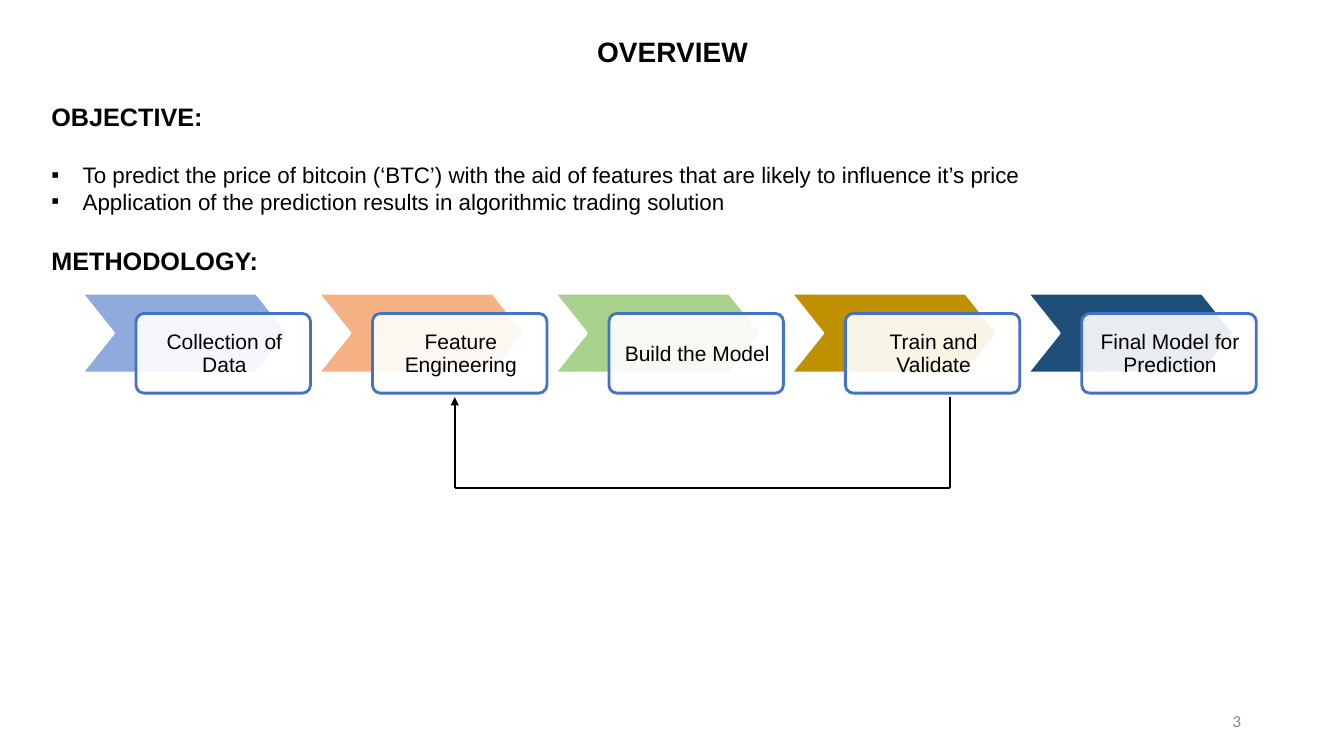
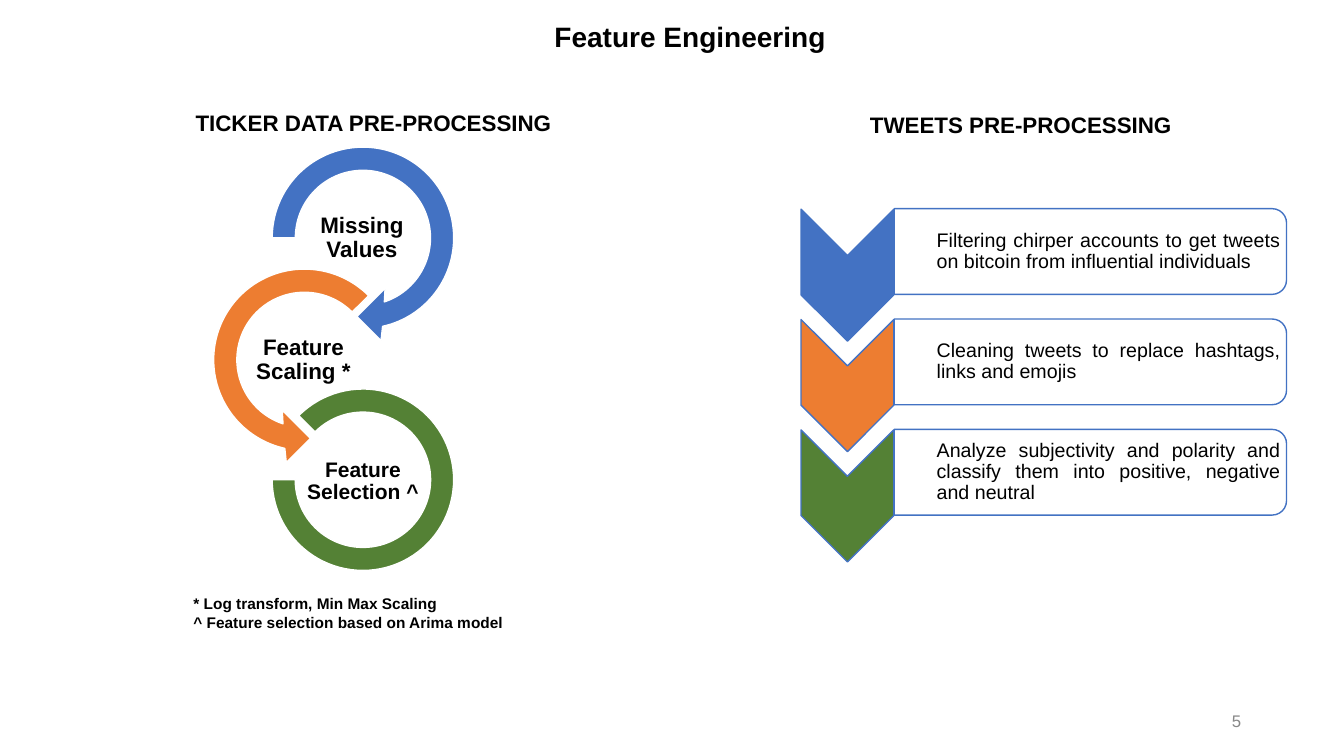
from math import cos, radians, sin, tan

from lxml import etree
from pptx import Presentation
from pptx.dml.color import RGBColor
from pptx.enum.shapes import MSO_CONNECTOR, MSO_SHAPE
from pptx.enum.text import MSO_ANCHOR, MSO_AUTO_SIZE, PP_ALIGN
from pptx.oxml.ns import qn
from pptx.util import Inches, Pt

BLACK, WHITE, GRAY = "000000", "FFFFFF", "888888"
BLUE, ORANGE, GREEN, EDGE = "4372C3", "ED7D31", "548135", "4472C4"
PAD = (0.1, 0.05, 0.1, 0.05)
CENTER = {"alignment": PP_ALIGN.CENTER}
TIGHT = {**CENTER, "line_spacing": 0.9}

STEPS = [
    ("Collection of Data", "8FAADC"),
    ("Feature Engineering", "F4B183"),
    ("Build the Model", "A9D18E"),
    ("Train and Validate", "BF9000"),
    ("Final Model for Prediction", "1F4E79"),
]
GOALS = [
    "To predict the price of bitcoin (‘BTC’) with the aid of features "
    "that are likely to influence it’s price",
    "Application of the prediction results in algorithmic trading solution",
]
TWEETS = [
    ("Filtering chirper accounts to get tweets on bitcoin from influential individuals", BLUE),
    ("Cleaning tweets to replace hashtags, links and emojis", ORANGE),
    ("Analyze subjectivity and polarity and classify them into positive, "
     "negative and neutral", GREEN),
]


def rgb(code):
    return RGBColor.from_string(code)


def style(item, values):
    for name, value in values.items():
        setattr(item, name, value)


def place(shape, box):
    style(shape, dict(zip(("left", "top", "width", "height"), map(Inches, box))))


def frame_text(shape, pad=PAD, anchor=MSO_ANCHOR.TOP):
    """Set wrapping, margins and anchor, and return the text frame."""
    frame = shape.text_frame
    sides = ("margin_left", "margin_top", "margin_right", "margin_bottom")
    style(frame, {"word_wrap": True, "auto_size": MSO_AUTO_SIZE.NONE,
                  "vertical_anchor": anchor, **dict(zip(sides, map(Inches, pad)))})
    return frame


def write(para, text, size, look, bold=False, color=BLACK, face="Arial"):
    run = para.add_run()
    run.text = text
    style(run.font, {"name": face, "size": Pt(size), "bold": bold})
    run.font.color.rgb = rgb(color)
    style(para, look)


def label(slide, box, lines, size, look, pad=PAD, anchor=MSO_ANCHOR.TOP, **font):
    shape = slide.shapes.add_textbox(*map(Inches, box))
    frame = frame_text(shape, pad, anchor)
    for i, line in enumerate(lines):
        para = frame.add_paragraph() if i else frame.paragraphs[0]
        write(para, line, size, look, **font)


def paint(shape, fill, line, width, alpha=None):
    shape.shadow.inherit = False
    shape.fill.solid()
    shape.fill.fore_color.rgb = rgb(fill)
    shape.line.color.rgb = rgb(line)
    shape.line.width = Pt(width)
    if alpha:
        color = shape.fill._xPr.find(qn("a:solidFill"))[0]
        etree.SubElement(color, qn("a:alpha"), val=str(alpha * 1000))


def block(slide, kind, box, fill, line, width, adjust, turn=0, alpha=None):
    shape = slide.shapes.add_shape(kind, *map(Inches, box))
    for i, value in enumerate(adjust):
        shape.adjustments[i] = value
    shape.rotation = turn
    paint(shape, fill, line, width, alpha)
    return shape


def link(slide, start, end, arrow):
    line = slide.shapes.add_connector(
        MSO_CONNECTOR.STRAIGHT, *map(Inches, (*start, *end)))
    line.line.color.rgb = rgb(BLACK)
    line.line.width = Pt(1.5)
    if arrow:
        etree.SubElement(line.line._get_or_add_ln(), qn("a:tailEnd"), type="triangle")
    etree.SubElement(line._element.spPr, qn("a:effectLst"))


def arc(radius, first, last):
    """Return the start, then three Bezier points for each third of an arc."""
    step = radians(last - first) / 3
    pull = 4 / 3 * tan(step / 4)
    points = [(radius * cos(radians(first)), radius * sin(radians(first)))]
    for i in range(3):
        a = radians(first) + i * step
        b = a + step
        points += [(radius * (cos(a) - pull * sin(a)), radius * (sin(a) + pull * cos(a))),
                   (radius * (cos(b) + pull * sin(b)), radius * (sin(b) - pull * cos(b))),
                   (radius * cos(b), radius * sin(b))]
    return points


def bend(shape, starts):
    """Turn three line segments from each start index into one curve."""
    lines = list(shape._element.iter(qn("a:lnTo")))
    for start in starts:
        curve = etree.Element(qn("a:cubicBezTo"))
        lines[start].addprevious(curve)
        for line in lines[start:start + 3]:
            curve.append(line[0])
            line.getparent().remove(line)


def ring(slide, x, y, start, side, color):
    """Draw a ring arrow about (x, y); side is -1 for its mirror image."""
    head = [(0.18, 1.02), (-0.06, 0.78), (0.22, 0.5)]
    edge = arc(0.9, start, 437.5) + head + arc(0.67, 431.5, start)
    points = [(Inches(x + side * dx), Inches(y + dy)) for dx, dy in edge]
    path = slide.shapes.build_freeform(*points[0])
    path.add_line_segments(points[1:], close=True)
    shape = path.convert_to_shape()
    bend(shape, (0, 3, 6, 13, 16, 19))
    paint(shape, color, WHITE, 1)


def bullet(para, mark=None):
    props = para._p.get_or_add_pPr()
    indent = Inches(0.31) if mark else 0
    props.set("marL", str(indent))
    props.set("indent", str(-indent))
    if mark:
        etree.SubElement(props, qn("a:buFont"), typeface="Arial")
        etree.SubElement(props, qn("a:buChar"), char=mark)
    else:
        etree.SubElement(props, qn("a:buNone"))


def start_slide(deck, layout, title, box, number, face):
    slide = deck.slides.add_slide(deck.slide_layouts[layout])
    place(slide.shapes.title, box)
    write(frame_text(slide.shapes.title).paragraphs[0], title, 20, CENTER, bold=True)
    label(slide, (9.41, 6.95, 3, 0.4), [number], 12, {"alignment": PP_ALIGN.RIGHT},
          anchor=MSO_ANCHOR.MIDDLE, color=GRAY, face=face)
    return slide


def add_goals(slide):
    body = slide.placeholders[1]
    place(body, (0.41, 0.95, 12.46, 1.85))
    frame = frame_text(body)
    rows = [("OBJECTIVE:", 18, 0, None), (GOALS[0], 16, 21.4, "▪"),
            (GOALS[1], 16, 0, "▪"), ("METHODOLOGY:", 18, 22, None)]
    for i, (text, size, gap, mark) in enumerate(rows):
        para = frame.add_paragraph() if i else frame.paragraphs[0]
        look = {"alignment": PP_ALIGN.JUSTIFY if mark else PP_ALIGN.LEFT,
                "space_before": Pt(gap), "space_after": Pt(0)}
        write(para, text, size, look, bold=not mark)
        bullet(para, mark)


def add_steps(slide):
    for i, (text, color) in enumerate(STEPS):
        x = 0.81 + 2.345 * i
        block(slide, MSO_SHAPE.CHEVRON, (x, 2.91, 2.05, 0.79), color, WHITE, 2, [0.4])
        block(slide, MSO_SHAPE.ROUNDED_RECTANGLE, (x + 0.54, 3.11, 1.73, 0.79),
              WHITE, EDGE, 2, [0.1], alpha=90)
        label(slide, (x + 0.57, 3.14, 1.69, 0.75), [text], 15, TIGHT,
              [0.12] * 4, MSO_ANCHOR.MIDDLE)


def add_loop(slide):
    left, right, top, base = 4.51, 9.42, 3.94, 4.84
    stops = [(right, top), (right, base), (left, base), (left, top)]
    for start, end in zip(stops, stops[1:]):
        link(slide, start, end, arrow=end == stops[-1])


def add_rings(slide):
    ring(slide, 3.6, 2.36, 180, 1, BLUE)
    ring(slide, 3.02, 3.57, 225, -1, ORANGE)
    block(slide, MSO_SHAPE.BLOCK_ARC, (2.7, 3.86, 1.8, 1.8), GREEN, WHITE, 1,
          [135, 108, 0.127])
    names = [("Missing Values", 3.01, 16), ("Feature Scaling *", 2.43, 16),
             ("Feature Selection ^", 3.02, 15)]
    for i, (text, x, size) in enumerate(names):
        label(slide, (x, 2.07 + 1.21 * i, 1.16, 0.58), [text], size, TIGHT,
              [0.01] * 4, MSO_ANCHOR.MIDDLE, bold=True)


def add_tweets(slide):
    look = {"alignment": PP_ALIGN.JUSTIFY, "line_spacing": 0.9}
    for i, (text, color) in enumerate(TWEETS):
        drop = 1.095 * i
        block(slide, MSO_SHAPE.CHEVRON, (7.75, 2.27 + drop, 1.31, 0.92),
              color, BLUE, 1, [0.5], turn=90)
        block(slide, MSO_SHAPE.ROUND_2_SAME_RECTANGLE, (10.39, 0.55 + drop, 0.85, 3.89),
              WHITE, BLUE, 1, [0.167, 0], turn=90, alpha=90)
        label(slide, (8.87, 2.11 + drop, 3.85, 0.77), [text], 14, look,
              (0.42, 0.02, 0.02, 0.02), MSO_ANCHOR.MIDDLE)


def main():
    deck = Presentation()
    deck.slide_width, deck.slide_height = Inches(13.33), Inches(7.5)

    slide = start_slide(deck, 1, "OVERVIEW", (5.47, 0.29, 2.4, 0.44), "3", "Calibri")
    add_goals(slide)
    add_loop(slide)
    add_steps(slide)

    slide = start_slide(deck, 5, "Feature Engineering", (3.71, 0.14, 6.27, 0.44),
                        "5", "Arial")
    for text, x, y in [("TICKER DATA PRE-PROCESSING", 0.42, 1.03),
                       ("TWEETS PRE-PROCESSING", 6.84, 1.05)]:
        label(slide, (x, y, 6.57, 0.37), [text], 16, CENTER, bold=True)
    add_rings(slide)
    add_tweets(slide)
    label(slide, (1.82, 5.85, 3.87, 0.47),
          ["* Log transform, Min Max Scaling", "^ Feature selection based on Arima model"],
          11, {"alignment": PP_ALIGN.LEFT}, bold=True)
    deck.save("out.pptx")


if __name__ == "__main__":
    main()
